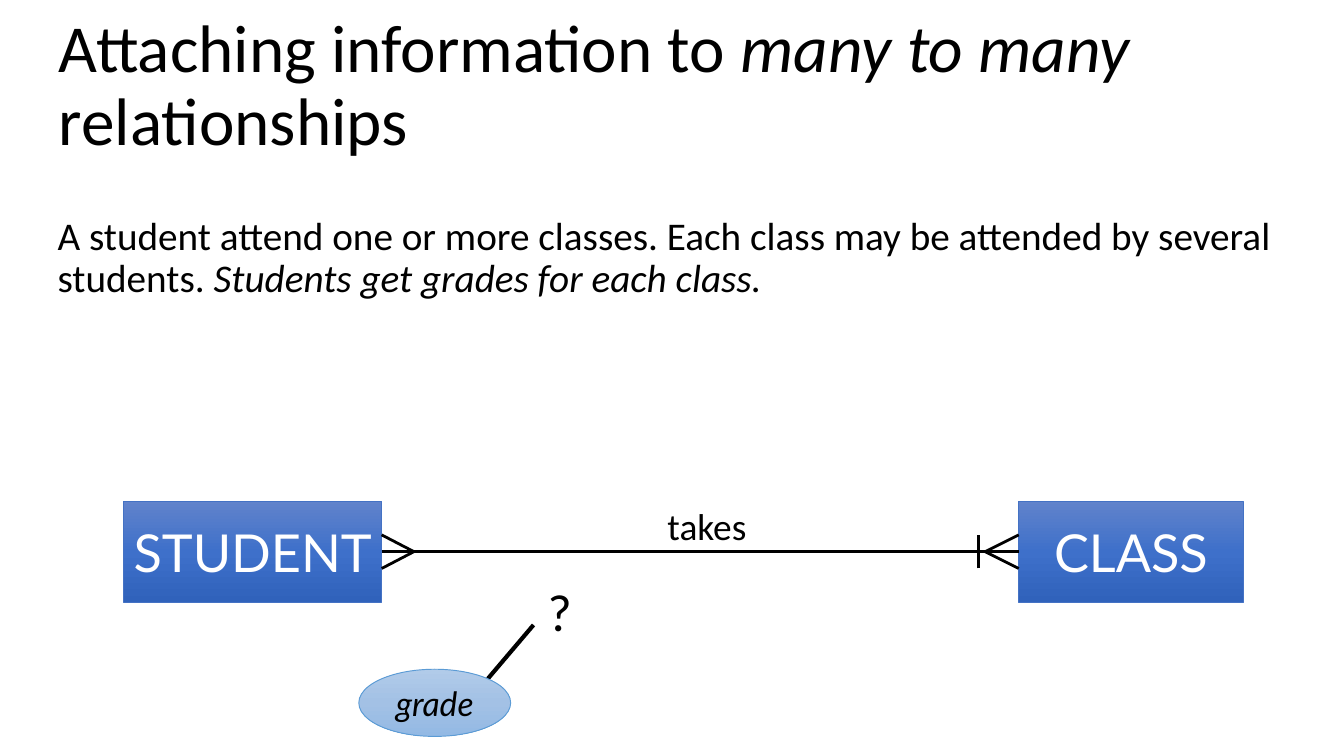
from copy import deepcopy
from dataclasses import dataclass

from lxml import etree
from pptx import Presentation
from pptx import util as u
from pptx.dml.color import RGBColor
from pptx.enum import shapes, text
from pptx.oxml.ns import qn

HUES = {
    "black": "000000", "white": "FFFFFF",
    "blue edge": "4472C4", "blue top": "6183CB", "blue mid": "3E70CA", "blue low": "3062BB",
    "pale edge": "5B9BD5", "pale top": "B1CBE9", "pale mid": "A3C1E5", "pale low": "93B9E4",
}
WIDE = 10
HIGH = WIDE * 9 / 16
TOP, TALL = 3.73, 0.75  # top and height of an entity
AXIS = TOP + TALL / 2   # height of the relationship line
SPREAD = TALL / 6       # half height of a crow's foot


@dataclass
class Node:
    """A gradient shape with a centred name."""
    name: str
    kind: int
    box: tuple
    hue: str
    font: dict
    ink: str


@dataclass
class Label:
    """Text as (words, italic) runs, in a box."""
    runs: list
    box: tuple
    font: dict
    frame: dict
    para: dict
    fill: str = ""


def rgb(name: str) -> RGBColor:
    return RGBColor.from_string(HUES[name])


def apply(obj, values: dict) -> None:
    for key, value in values.items():
        setattr(obj, key, value)


def write(para, runs: list, font: dict, ink: str) -> None:
    for words, slant in runs:
        run = para.add_run()
        run.text = words
        apply(run.font, {**font, "italic": slant})
        run.font.color.rgb = rgb(ink)


def add_label(slide, item: Label) -> None:
    box = slide.shapes.add_textbox(*map(u.Inches, item.box))
    if item.fill:
        box.fill.solid()
        box.fill.fore_color.rgb = rgb(item.fill)
    apply(box.text_frame, {"word_wrap": True, **item.frame})
    para = box.text_frame.paragraphs[0]
    apply(para, item.para)
    write(para, item.runs, item.font, "black")


def shade(shape, hue: str) -> None:
    """Fill from top to bottom with three stops."""
    fill = shape.fill
    fill.gradient()
    fill.gradient_angle = 270
    stops = shape._element.spPr.find(qn("a:gradFill")).find(qn("a:gsLst"))
    stops.append(deepcopy(stops[-1]))
    for stop, place, part in zip(fill.gradient_stops, (0, 0.5, 1), ("top", "mid", "low")):
        stop.position = place
        stop.color.rgb = rgb(f"{hue} {part}")


def add_node(slide, item: Node):
    shape = slide.shapes.add_shape(item.kind, *map(u.Inches, item.box))
    shape.shadow.inherit = False
    shade(shape, item.hue)
    shape.line.color.rgb = rgb(f"{item.hue} edge")
    shape.line.width = u.Pt(0.5)
    apply(shape.text_frame, {"word_wrap": False, "vertical_anchor": text.MSO_ANCHOR.MIDDLE})
    para = shape.text_frame.paragraphs[0]
    para.alignment = text.PP_ALIGN.CENTER
    write(para, [(item.name, item.font.get("italic", False))], item.font, item.ink)
    return shape


def add_line(slide, start: tuple, end: tuple, width: float = 1.5):
    line = slide.shapes.add_connector(
        shapes.MSO_CONNECTOR.STRAIGHT, *map(u.Inches, start + end))
    line.line.color.rgb = rgb("black")
    line.line.width = u.Pt(width)
    etree.SubElement(line._element.spPr, qn("a:effectLst"))
    return line


def add_foot(slide, tip: float, edge: float) -> None:
    """Outer toes of a crow's foot."""
    for rise in (-SPREAD, SPREAD):
        add_line(slide, (tip, AXIS), (edge, AXIS + rise))


def main() -> None:
    deck = Presentation()
    deck.slide_width, deck.slide_height = u.Inches(WIDE), u.Inches(HIGH)
    slide = deck.slides.add_slide(deck.slide_layouts[6])

    # Title and text
    center = {"alignment": text.PP_ALIGN.CENTER}
    bare = dict.fromkeys(("margin_left", "margin_top", "margin_right", "margin_bottom"), 0)
    middle = {"vertical_anchor": text.MSO_ANCHOR.MIDDLE}
    add_label(slide, Label(
        [("Attaching information to ", False), ("many to many", True), (" relationships", False)],
        (0.34, 0.06, 9.58, 1.13), {"name": "Calibri", "size": u.Pt(36)},
        {**middle, "margin_top": u.Inches(0.1)}, {"line_spacing": 0.9}))
    add_label(slide, Label(
        [("A student attend one or more classes. Each class may be attended by several students. ",
          False), ("Students get grades for each class.", True)],
        (0.33, 1.56, 9.55, 3.78), {"name": "Calibri", "size": u.Pt(21)},
        {}, {"line_spacing": 0.9, "space_after": u.Pt(12)}))

    # Entities
    rect = shapes.MSO_SHAPE.RECTANGLE
    big = {"name": "Lato", "size": u.Pt(28)}
    student, course = [
        add_node(slide, Node(name, rect, (left, TOP, width, TALL), "blue", big, "white"))
        for name, left, width in (("STUDENT", 0.92, 1.92), ("CLASS", 7.58, 1.67))]

    # Relationship with its crow's feet and bar
    add_line(slide, (2.84, AXIS), (7.33, AXIS)).begin_connect(student, 3)
    add_line(slide, (7.33, AXIS), (7.58, AXIS)).end_connect(course, 1)
    add_foot(slide, 3.08, 2.84)
    add_foot(slide, 7.33, 7.58)
    add_line(slide, (7.28, AXIS + SPREAD), (7.28, AXIS - SPREAD))

    # Attribute without a home
    add_line(slide, (3.63, 5.05), (3.97, 4.65), 2.25)
    add_node(slide, Node("grade", shapes.MSO_SHAPE.OVAL, (2.67, 4.98, 1.13, 0.5), "pale",
                         {"name": "Lato", "size": u.Pt(18), "italic": True}, "black"))

    # Labels
    add_label(slide, Label([("?", False)], (4, 4.31, 0.33, 0.47),
                           {"name": "Calibri", "size": u.Pt(28)}, bare, center, "white"))
    add_label(slide, Label([("takes", False)], (4.75, 3.74, 1.02, 0.34),
                           {"name": "Calibri", "size": u.Pt(20)},
                           {**bare, **middle}, center, "white"))

    deck.save("out.pptx")


if __name__ == "__main__":
    main()
